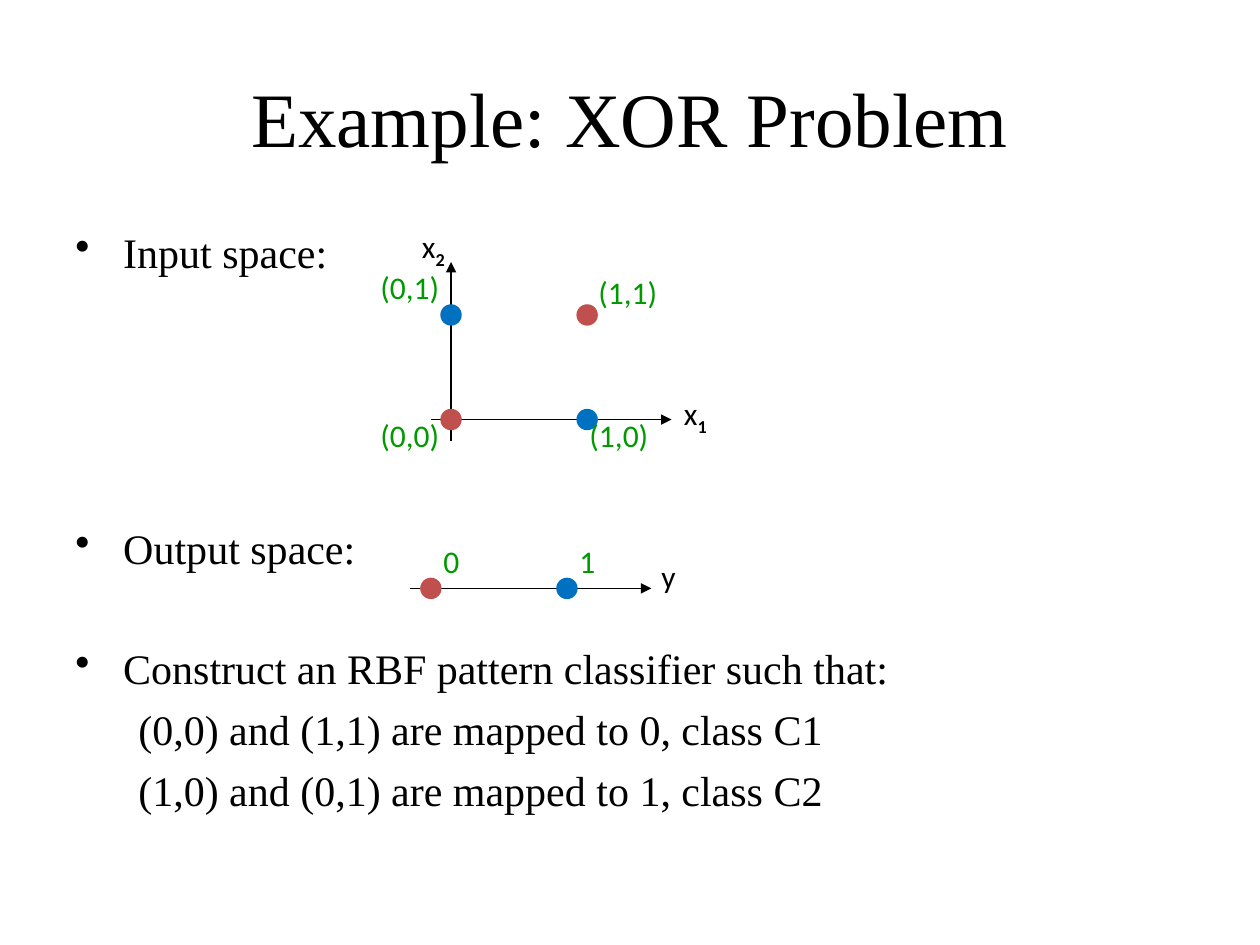
from pptx import Presentation
from pptx.dml.color import RGBColor
from pptx.enum.shapes import MSO_CONNECTOR as Link, MSO_SHAPE as Shape
from pptx.enum.text import MSO_ANCHOR as Anchor, PP_ALIGN as Align
from pptx.oxml.xmlchemy import OxmlElement
from pptx.util import Inches, Pt

COLORS = {"ink": "000000", "label": "009900", "class1": "C0504D", "class2": "0070C0"}
SERIF, SANS = "Times New Roman", "Calibri"
DOT = 0.17
LINE_PITCH = 33.6  # points from one body line to the next
LINE_GAP = 6


def add_span(para, text, size, font, color="ink", subscript=False):
    span = para.add_run()
    span.text = text
    span.font.size = Pt(size)
    span.font.name = font
    span.font.color.rgb = RGBColor.from_string(COLORS[color])
    if subscript:
        span.font.bold = True
        span.font._element.set("baseline", "-25000")


def add_text_frame(page, left, top, width, height, wrap=True):
    box = page.shapes.add_textbox(Inches(left), Inches(top), Inches(width), Inches(height))
    box.text_frame.word_wrap = wrap
    return box.text_frame


def add_label(page, left, top, width, text, color="label", subscript=""):
    para = add_text_frame(page, left, top, width, 0.4, wrap=False).paragraphs[0]
    add_span(para, text, 18, SANS, color)
    if subscript:
        add_span(para, subscript, 18, SANS, color, subscript=True)


def add_axis(page, x1, y1, x2, y2):
    axis = page.shapes.add_connector(Link.STRAIGHT, Inches(x1), Inches(y1), Inches(x2), Inches(y2))
    axis.line.color.rgb = RGBColor.from_string(COLORS["ink"])
    axis.line.width = Pt(1)
    head = OxmlElement("a:tailEnd")
    head.set("type", "triangle")
    axis.line._get_or_add_ln().append(head)
    axis._element.spPr.append(OxmlElement("a:effectLst"))


def add_dot(page, x, y, color):
    dot = page.shapes.add_shape(
        Shape.OVAL, Inches(x - DOT / 2), Inches(y - DOT / 2), Inches(DOT), Inches(DOT))
    dot.shadow.inherit = False
    dot.fill.solid()
    dot.fill.fore_color.rgb = RGBColor.from_string(COLORS[color])
    dot.line.fill.background()


def add_title(page, left, top, width, height):
    frame = add_text_frame(page, left, top, width, height)
    frame.vertical_anchor = Anchor.MIDDLE
    para = frame.paragraphs[0]
    para.alignment = Align.CENTER
    add_span(para, "Example: XOR Problem", 44, SERIF)


def add_body(page, left, top, width, height):
    frame = add_text_frame(page, left, top, width, height)
    # Text, bulleted or not, and lines left free above it for the diagrams
    lines = [
        ("Input space:", True, 0),
        ("Output space:", True, 4),
        ("Construct an RBF pattern classifier such that:", True, 1),
        ("(0,0) and (1,1) are mapped to 0, class C1", False, 0),
        ("(1,0) and (0,1) are mapped to 1, class C2", False, 0),
    ]
    for index, (text, bulleted, free_lines) in enumerate(lines):
        para = frame.paragraphs[0] if index == 0 else frame.add_paragraph()
        para.space_before = Pt(LINE_GAP + free_lines * LINE_PITCH)
        margin, indent = (0.38, -0.38) if bulleted else (0.81, -0.31)
        props = para._p.get_or_add_pPr()
        props.set("marL", str(Inches(margin)))
        props.set("indent", str(Inches(indent)))
        if bulleted:
            bullet = OxmlElement("a:buChar")
            bullet.set("char", "•")
            props.append(bullet)
        add_span(para, text, 24, SERIF)


def add_input_space(page, left, top):
    """Plane of the four input points; the box starts at the top left label."""
    x0, y0 = left + 0.66, top + 1.58
    step_x, step_y = 1.08, 0.83
    add_axis(page, x0, y0 + 0.17, x0, y0 - 1.25)
    add_axis(page, x0 - 0.16, y0, x0 + 1.75, y0)
    # Grid position, then label offset from the box
    points = [(1, 1, 1.73, 0.37), (0, 0, 0, 1.5), (0, 1, 0, 0.33), (1, 0, 1.66, 1.5)]
    for a, b, label_x, label_y in points:
        add_dot(page, x0 + a * step_x, y0 - b * step_y, "class1" if a == b else "class2")
        add_label(page, left + label_x, top + label_y, 0.72, f"({a},{b})")
    add_label(page, left + 2.41, top + 1.33, 0.42, "x", "ink", "1")
    add_label(page, left + 0.33, top, 0.42, "x", "ink", "2")


def add_output_space(page, left, top):
    """Line of the two output values."""
    axis_y = top + 0.42
    add_axis(page, left, axis_y, left + 1.92, axis_y)
    for value, color in enumerate(("class1", "class2")):
        x = left + 0.17 + value * 1.08
        add_dot(page, x, axis_y, color)
        add_label(page, x, top, 0.34, str(value))
    add_label(page, left + 1.9, top + 0.12, 0.33, "y", "ink")


def main():
    deck = Presentation()
    deck.slide_width, deck.slide_height = Inches(10), Inches(7.5)
    page = deck.slides.add_slide(deck.slide_layouts[6])
    add_title(page, 0.5, 0.3, 9, 1.25)
    add_body(page, 0.5, 1.75, 9, 4.95)
    add_input_space(page, 2.92, 1.75)
    add_output_space(page, 3.25, 4.25)
    deck.save("out.pptx")


if __name__ == "__main__":
    main()
